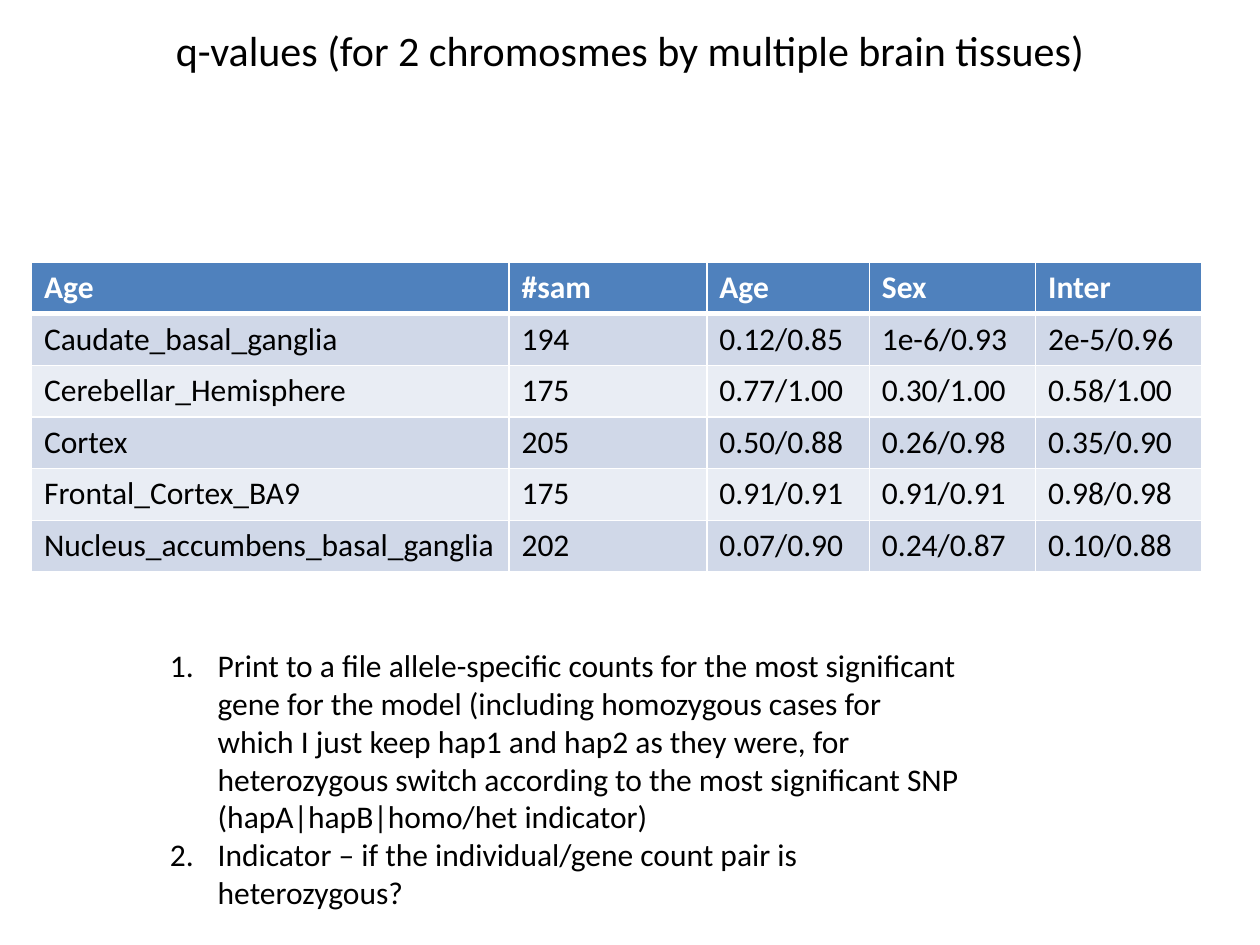
from lxml import etree
from pptx import Presentation
from pptx.dml.color import RGBColor
from pptx.enum.text import MSO_ANCHOR, MSO_AUTO_SIZE, PP_ALIGN
from pptx.oxml.ns import qn
from pptx.util import Inches, Pt

CENTER = PP_ALIGN.CENTER
MIDDLE = MSO_ANCHOR.MIDDLE
GROW = MSO_AUTO_SIZE.SHAPE_TO_FIT_TEXT
BLANK_LAYOUT = 6
FONT = "Calibri"
COLORS = {
    "text": "000000",
    "white": "FFFFFF",
    "header": "4F81BD",
    "odd": "D0D8E8",
    "even": "E9EDF4",
}

TITLE = "q-values (for 2 chromosmes by multiple brain tissues)"
COLUMN_WIDTHS = [3.79, 1.57, 1.29, 1.32, 1.32]
ROW_HEIGHT = 0.41
Q_VALUES = [
    ["Age", "#sam", "Age", "Sex", "Inter"],
    ["Caudate_basal_ganglia", "194", "0.12/0.85", "1e-6/0.93", "2e-5/0.96"],
    ["Cerebellar_Hemisphere", "175", "0.77/1.00", "0.30/1.00", "0.58/1.00"],
    ["Cortex", "205", "0.50/0.88", "0.26/0.98", "0.35/0.90"],
    ["Frontal_Cortex_BA9", "175", "0.91/0.91", "0.91/0.91", "0.98/0.98"],
    ["Nucleus_accumbens_basal_ganglia", "202", "0.07/0.90", "0.24/0.87", "0.10/0.88"],
]
TASKS = [
    "Print to a file allele-specific counts for the most significant gene for the model "
    "(including homozygous cases for which I just keep hap1 and hap2 as they were, for "
    "heterozygous switch according to the most significant SNP "
    "(hapA|hapB|homo/het indicator)",
    "Indicator – if the individual/gene count pair is heterozygous?",
]


def color(name):
    return RGBColor.from_string(COLORS[name])


def add_span(para, text, size=18, color_name="text", bold=False):
    span = para.add_run()
    span.text = text
    span.font.name = FONT
    span.font.size = Pt(size)
    span.font.bold = bold
    span.font.color.rgb = color(color_name)


def add_text_frame(page, left, top, width, height):
    box = page.shapes.add_textbox(Inches(left), Inches(top), Inches(width), Inches(height))
    box.text_frame.word_wrap = True
    return box.text_frame


def add_title(page):
    frame = add_text_frame(page, 0.5, 0.04, 9, 0.71)
    frame.vertical_anchor = MIDDLE
    para = frame.paragraphs[0]
    para.alignment = CENTER
    add_span(para, TITLE, size=24)


def set_borders(cell, **widths):
    """Draw white cell borders, given as side=points."""
    properties = cell._tc.get_or_add_tcPr()
    for side, points in widths.items():
        line = etree.SubElement(properties, qn(f"a:ln{side}"), w=str(Pt(points)))
        fill = etree.SubElement(line, qn("a:solidFill"))
        etree.SubElement(fill, qn("a:srgbClr"), val=COLORS["white"])


def add_q_value_table(page):
    table = page.shapes.add_table(
        len(Q_VALUES), len(COLUMN_WIDTHS), Inches(0.25), Inches(2.08),
        Inches(sum(COLUMN_WIDTHS)), Inches(ROW_HEIGHT * len(Q_VALUES)),
    ).table
    for column, width in zip(table.columns, COLUMN_WIDTHS):
        column.width = Inches(width)
    for r, values in enumerate(Q_VALUES):
        is_header = r == 0
        fill_name = "header" if is_header else "odd" if r % 2 else "even"
        for c, value in enumerate(values):
            cell = table.cell(r, c)
            set_borders(cell, L=1, R=1, T=3 if r == 1 else 1, B=3 if is_header else 1)
            cell.fill.solid()
            cell.fill.fore_color.rgb = color(fill_name)
            add_span(cell.text_frame.paragraphs[0], value,
                     color_name="white" if is_header else "text", bold=is_header)


def number_paragraph(para):
    properties = para._p.get_or_add_pPr()
    indent = Inches(0.38)
    properties.set("marL", str(indent))
    properties.set("indent", str(-indent))
    etree.SubElement(properties, qn("a:buFont"), typeface="+mj-lt")
    etree.SubElement(properties, qn("a:buAutoNum"), type="arabicPeriod")


def add_task_list(page):
    frame = add_text_frame(page, 1.25, 5.08, 6.5, 2.22)
    frame.auto_size = GROW
    for i, task in enumerate(TASKS):
        para = frame.add_paragraph() if i else frame.paragraphs[0]
        number_paragraph(para)
        add_span(para, task)


def main():
    deck = Presentation()
    deck.slide_width = Inches(10)
    deck.slide_height = Inches(7.5)
    page = deck.slides.add_slide(deck.slide_layouts[BLANK_LAYOUT])
    add_title(page)
    add_q_value_table(page)
    add_task_list(page)
    deck.save("out.pptx")


if __name__ == "__main__":
    main()
